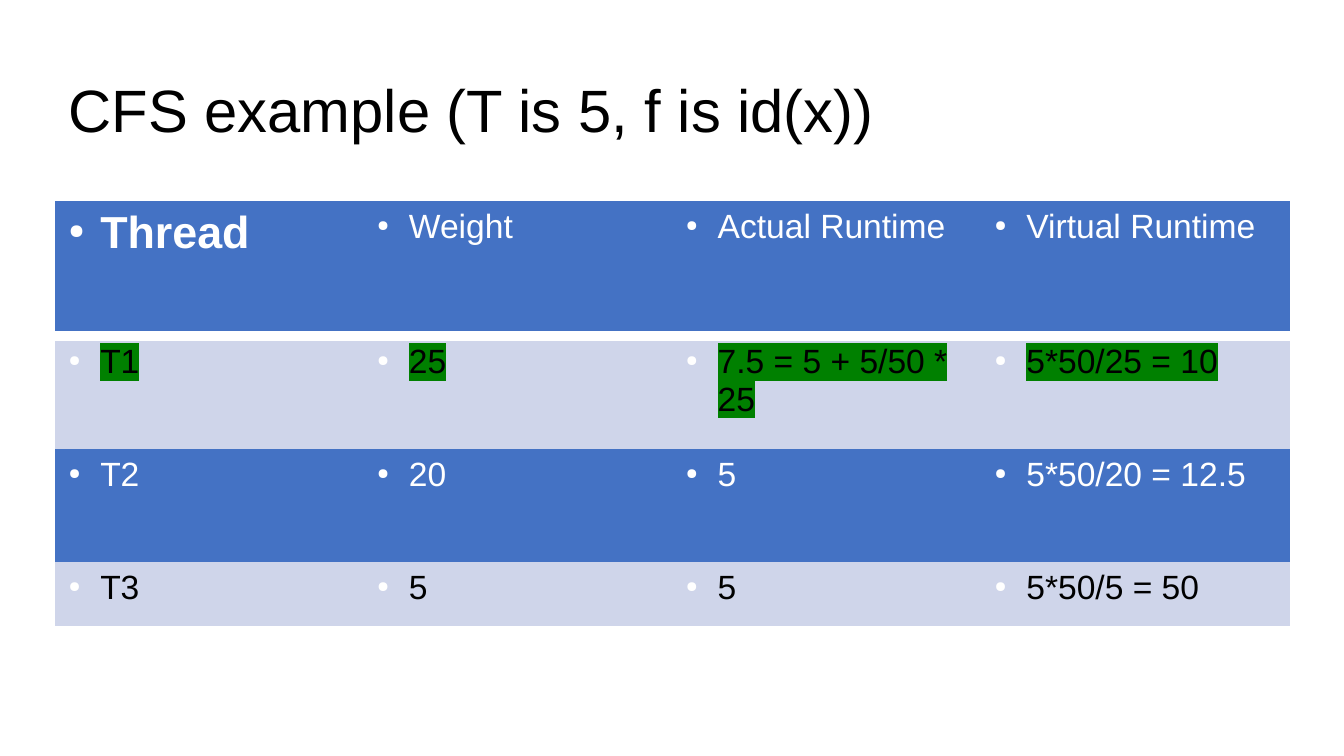
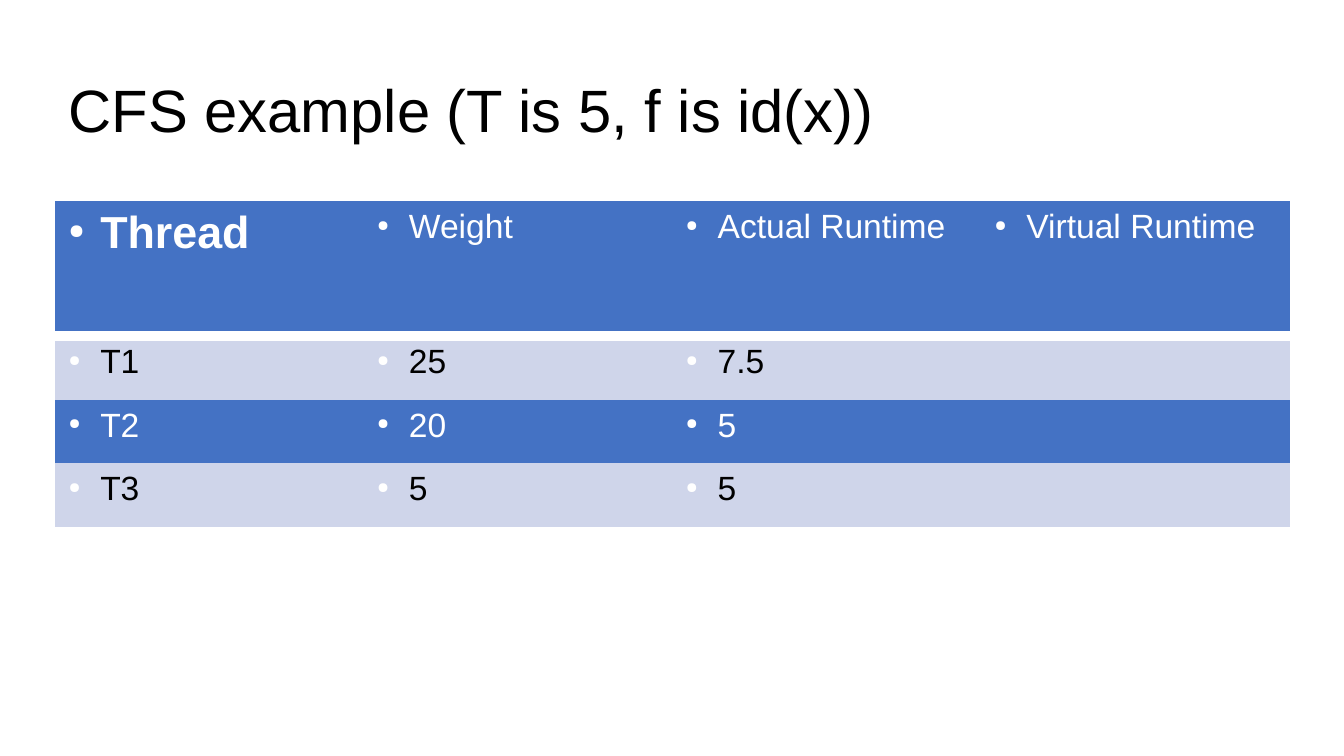
import pptx
import pptx.dml.color
import pptx.enum.text
import pptx.oxml
import pptx.oxml.ns
import pptx.util
from lxml import etree

Pt = pptx.util.Pt

# Content: row heights, cell texts and the highlighted row of each slide
TITLE = "CFS example (T is 5, f is id(x))"
HEADINGS = ("Thread", "Weight", "Actual Runtime", "Virtual Runtime")
SLIDES = [
    {
        "heights": (72.5, 60.5, 60.5, 34),
        "highlighted": 1,
        "threads": [
            ("T1", "25", "7.5 = 5 + 5/50 * 25", "5*50/25 = 10"),
            ("T2", "20", "5", "5*50/20 = 12.5"),
            ("T3", "5", "5", "5*50/5 = 50"),
        ],
    },
    {
        "heights": (72.5, 34, 34, 34),
        "highlighted": None,
        "threads": [
            ("T1", "25", "7.5", ""),
            ("T2", "20", "5", ""),
            ("T3", "5", "5", ""),
        ],
    },
]

# Shared style
FONT = "Arial"
WHITE, BLACK, BLUE, PALE, GREEN = "FFFFFF", "000000", "4472C4", "CFD5EA", "008000"
LEFT, WIDTH = 29.5, 661.5
TITLE_TOP, TITLE_HEIGHT, TABLE_TOP = 21.5, 78.5, 107.75
INDENT = 17
PLAIN_TABLE = "{2D5ABB26-0587-4C30-8999-92F81FD0307C}"


def color(value):
    return pptx.dml.color.RGBColor.from_string(value)


def add_xml(parent, tag, **attributes):
    return etree.SubElement(parent, pptx.oxml.ns.qn(tag), attributes)


def set_font(paragraph, size, ink, bold=False):
    font = paragraph.font
    font.name, font.size, font.bold = FONT, Pt(size), bold
    font.color.rgb = color(ink)


def add_bullet(paragraph):
    properties = paragraph._p.get_or_add_pPr()
    properties.set("marL", str(Pt(INDENT)))
    properties.set("indent", str(-Pt(INDENT)))
    add_xml(add_xml(properties, "a:buClr"), "a:srgbClr", val=WHITE)
    add_xml(properties, "a:buSzPct", val="45000")
    add_xml(properties, "a:buChar", char="●")


def add_bottom_border(cell):
    # Borders come before the fill in a cell's properties
    properties = cell._tc.get_or_add_tcPr()
    line = add_xml(properties, "a:lnB", w=str(Pt(6)))
    add_xml(add_xml(line, "a:solidFill"), "a:srgbClr", val=WHITE)


def fill_cell(cell, text, row, column, highlighted):
    dark = row % 2 == 0
    if row == 0:
        add_bottom_border(cell)
    cell.fill.solid()
    cell.fill.fore_color.rgb = color(BLUE if dark else PALE)
    paragraph = cell.text_frame.paragraphs[0]
    if text:
        add_bullet(paragraph)
        run = paragraph.add_run()
        run.text = text
        if highlighted:
            highlight = add_xml(run._r.get_or_add_rPr(), "a:highlight")
            add_xml(highlight, "a:srgbClr", val=GREEN)
    corner = row == column == 0
    set_font(paragraph, 24 if corner else 18, WHITE if dark else BLACK, corner)


def add_title(slide):
    title = slide.shapes.title
    title.left, title.top = Pt(LEFT), Pt(TITLE_TOP)
    title.width, title.height = Pt(WIDTH), Pt(TITLE_HEIGHT)
    frame = title.text_frame
    frame.text = TITLE
    frame.vertical_anchor = pptx.enum.text.MSO_ANCHOR.MIDDLE
    paragraph = frame.paragraphs[0]
    paragraph.alignment = pptx.enum.text.PP_ALIGN.LEFT
    paragraph.line_spacing = 0.9
    set_font(paragraph, 32, BLACK)


def add_runtime_table(slide, content):
    rows = [HEADINGS] + content["threads"]
    heights = content["heights"]
    table = slide.shapes.add_table(
        len(rows), len(HEADINGS), Pt(LEFT), Pt(TABLE_TOP), Pt(WIDTH), Pt(sum(heights))
    ).table
    table.horz_banding = False
    table._tbl.tblPr.find(pptx.oxml.ns.qn("a:tableStyleId")).text = PLAIN_TABLE
    for row, texts in enumerate(rows):
        table.rows[row].height = Pt(heights[row])
        for column, text in enumerate(texts):
            fill_cell(table.cell(row, column), text, row, column,
                      row == content["highlighted"])


def main():
    deck = pptx.Presentation()
    deck.slide_width, deck.slide_height = Pt(720), Pt(405)
    title_only = deck.slide_layouts[5]
    for content in SLIDES:
        slide = deck.slides.add_slide(title_only)
        add_title(slide)
        add_runtime_table(slide, content)
    deck.save("out.pptx")


if __name__ == "__main__":
    main()
